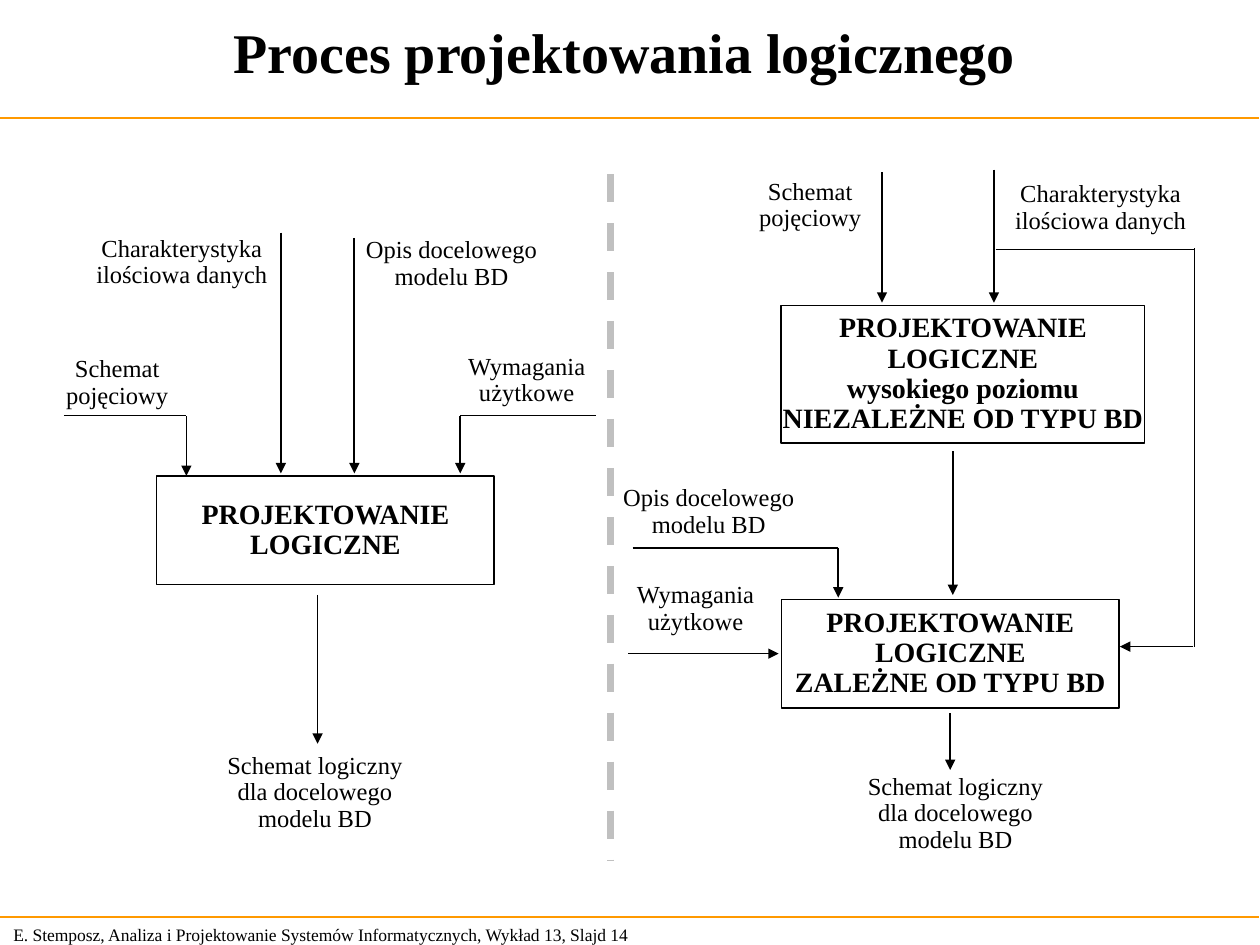
from dataclasses import dataclass

from lxml.etree import SubElement
from pptx import Presentation
from pptx.dml.color import RGBColor
from pptx.enum.dml import MSO_LINE
from pptx.enum.shapes import MSO_CONNECTOR, MSO_SHAPE
from pptx.enum.text import MSO_ANCHOR, MSO_AUTO_SIZE, PP_ALIGN
from pptx.oxml.ns import qn
from pptx.util import Pt


@dataclass(frozen=True)
class Theme:
    font: str = "Times New Roman"
    ink: str = "000000"
    rule: str = "FF9900"
    divider: str = "C0C0C0"
    title: int = 32
    process: int = 16
    label: int = 14
    footer: int = 10


class Diagram:
    """Draws the elements of a process diagram on one slide."""

    def __init__(self, slide, theme):
        self.s, self.theme = slide, theme

    def set_text(self, sp, text, size, bold=False, align=PP_ALIGN.CENTER, spacing=None, wrap=False):
        tf = sp.text_frame
        tf.text = text
        tf.auto_size = MSO_AUTO_SIZE.NONE
        tf.word_wrap = wrap
        tf.vertical_anchor = MSO_ANCHOR.MIDDLE
        for p in tf.paragraphs:
            p.alignment = align
            p.line_spacing = spacing
            for r in p.runs:
                r.font.name, r.font.size, r.font.bold = self.theme.font, Pt(size), bold
                r.font.color.rgb = RGBColor.from_string(self.theme.ink)

    def title(self, text, x, y, w, h):
        sp = self.s.shapes.title
        sp.left, sp.top, sp.width, sp.height = Pt(x), Pt(y), Pt(w), Pt(h)
        self.set_text(sp, text, self.theme.title, bold=True, wrap=True)

    def footer(self, text, x, y, w, h):
        sp = self.s.shapes.add_textbox(Pt(x), Pt(y), Pt(w), Pt(h))
        self.set_text(sp, text, self.theme.footer, align=PP_ALIGN.LEFT, wrap=True)

    def label(self, text, x, y):
        sp = self.s.shapes.add_textbox(Pt(x), Pt(y), Pt(84), Pt(36))
        self.set_text(sp, text, self.theme.label, spacing=0.9)

    def process(self, text, x, y, w=193, h=62):
        sp = self.s.shapes.add_shape(MSO_SHAPE.RECTANGLE, Pt(x), Pt(y), Pt(w), Pt(h))
        sp.shadow.inherit = False
        sp.fill.background()
        sp.line.color.rgb = RGBColor.from_string(self.theme.ink)
        sp.line.width = Pt(1)
        self.set_text(sp, text, self.theme.process, bold=True, spacing=0.9)

    def line(self, x1, y1, x2, y2, color=None, width=1):
        cx = self.s.shapes.add_connector(MSO_CONNECTOR.STRAIGHT, Pt(x1), Pt(y1), Pt(x2), Pt(y2))
        cx.line.color.rgb = RGBColor.from_string(color or self.theme.ink)
        cx.line.width = Pt(width)
        SubElement(cx._element.spPr, qn("a:effectLst"))
        return cx

    def arrow(self, x1, y1, x2, y2):
        cx = self.line(x1, y1, x2, y2)
        SubElement(cx._element.spPr.find(qn("a:ln")), qn("a:tailEnd"), type="triangle")

    def divider(self, x, top, bottom):
        cx = self.line(x, top, x, bottom, self.theme.divider, 4)
        cx.line.dash_style = MSO_LINE.DASH


SCHEMA = "Schemat\npojęciowy"
VOLUMES = "Charakterystyka\nilościowa danych"
MODEL = "Opis docelowego\nmodelu BD"
NEEDS = "Wymagania\nużytkowe"
RESULT = "Schemat logiczny\ndla docelowego\nmodelu BD"
DESIGN = "PROJEKTOWANIE\nLOGICZNE"

LABELS = [
    (SCHEMA, 25, 201), (VOLUMES, 62, 132), (MODEL, 216, 133), (NEEDS, 259, 199.5),
    (RESULT, 138, 435), (SCHEMA, 421, 99.5), (VOLUMES, 587, 101), (MODEL, 363, 274.5),
    (NEEDS, 355.5, 330), (RESULT, 504, 447),
]
DOWN_ARROWS = [
    (106.5, 238, 272), (160.5, 133, 270.5), (202.5, 136, 270.5), (263, 238, 270.5),
    (181.5, 340, 425), (504, 98.5, 173), (568, 97, 173), (544.5, 258, 340),
    (479, 313, 341.5), (543, 407.5, 440),
]
SIDE_ARROWS = [(359, 445, 373.5), (682, 640, 369.5)]
BRANCHES = [(36.5, 106.5, 237.5), (340.5, 263, 237.5), (361.5, 479, 313), (569, 682.5, 142.5)]


def main():
    prs = Presentation()
    prs.slide_width, prs.slide_height = Pt(720), Pt(540)
    theme = Theme()
    d = Diagram(prs.slides.add_slide(prs.slide_layouts[5]), theme)

    d.footer("E. Stemposz, Analiza i Projektowanie Systemów Informatycznych, Wykład 13, Slajd 14",
             0.5, 524, 377.5, 19.5)
    for y in (67.5, 524):
        d.line(-0.5, y, 719.5, y, theme.rule, 0.75)
    d.title("Proces projektowania logicznego", 0, 6, 714, 46)
    d.divider(349, 99.5, 492)

    d.process(DESIGN, 89.5, 272)
    d.process(DESIGN + "\nwysokiego poziomu\nNIEZALEŻNE OD TYPU BD", 446.5, 174.5, 207.5, 78.5)
    d.process(DESIGN + "\nZALEŻNE OD TYPU BD", 446.5, 342.5)

    for text, x, y in LABELS:
        d.label(text, x, y)
    for x1, x2, y in BRANCHES:
        d.line(x1, y, x2, y)
    d.line(682.5, 142, 682.5, 369.5)
    for x, top, bottom in DOWN_ARROWS:
        d.arrow(x, top, x, bottom)
    for x1, x2, y in SIDE_ARROWS:
        d.arrow(x1, y, x2, y)

    prs.save("out.pptx")


if __name__ == "__main__":
    main()
